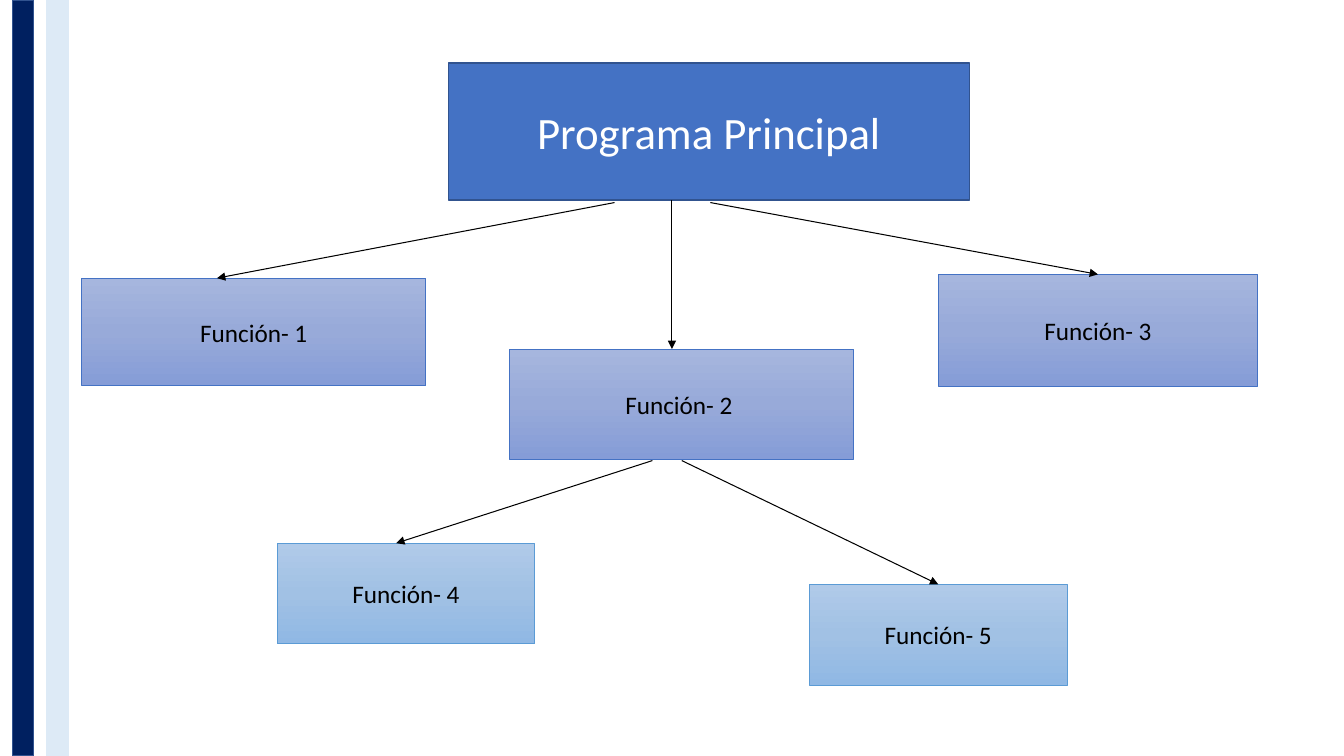
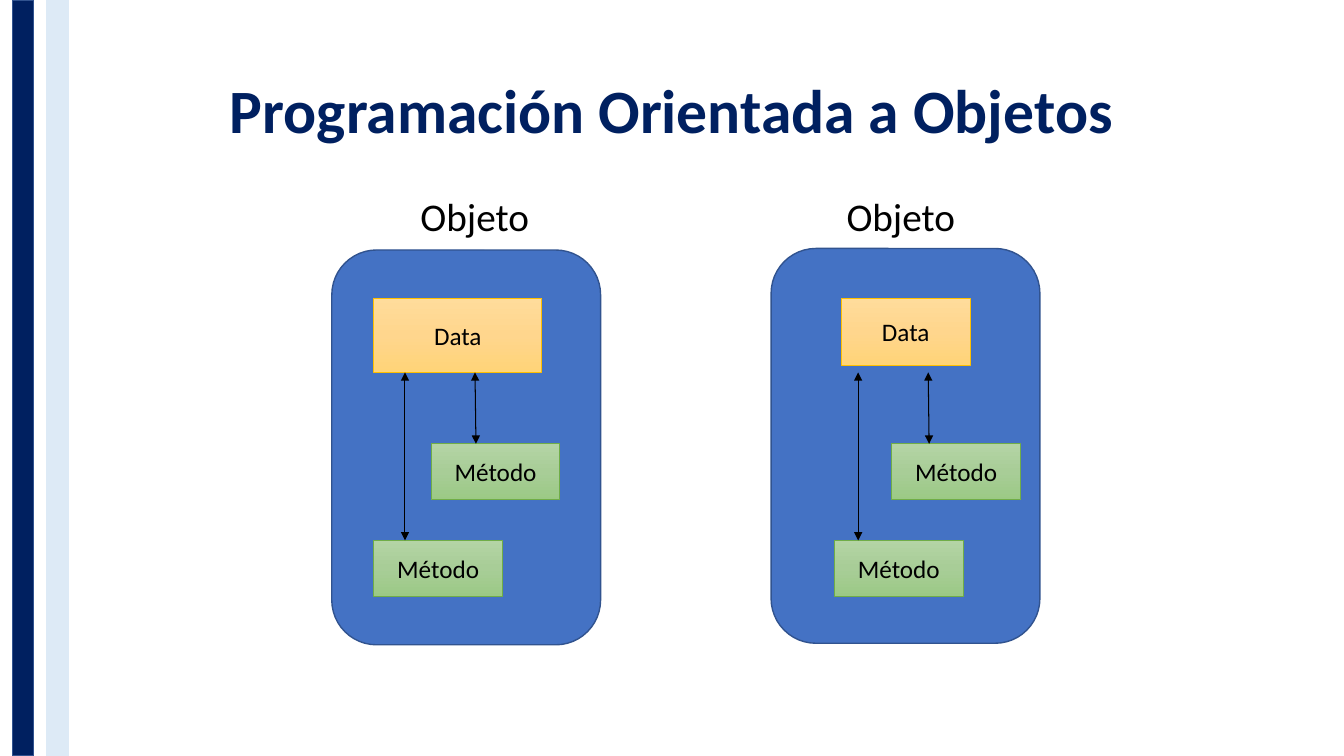
from copy import deepcopy

from lxml import etree
from pptx import Presentation
from pptx.dml.color import RGBColor
from pptx.enum import shapes, text
from pptx.oxml.ns import qn
from pptx.util import Pt

C = {
    "navy": "002060", "pale": "DDEAF6", "blue": "4472C4", "edge": "31538F",
    "sky": "5B9BD5", "gold": "FFC000", "green": "70AD47",
    "black": "000000", "white": "FFFFFF",
}
GRADIENTS = {
    "blue": ("A6B6DE", "98AAD9", "859CD7"),
    "sky": ("B0CAE9", "A1C1E4", "90B8E4"),
    "gold": ("FFDC9B", "FFD68D", "FFD478"),
    "green": ("B4D4A5", "A8CD97", "9BC985"),
}
RECT = shapes.MSO_SHAPE.RECTANGLE
ROUNDED = shapes.MSO_SHAPE.ROUNDED_RECTANGLE


def add_box(s, at, label="", fill=None, line=None, size=18, color="black", kind=RECT, bold=False):
    """Add a shape; a fill with no line is a gradient, no fill at all is a text box."""
    at = [Pt(v) for v in at]
    if fill is None:
        sp = s.shapes.add_textbox(*at)
    else:
        sp = s.shapes.add_shape(kind, *at)
        sp.shadow.inherit = False
        sp.line.color.rgb = RGBColor.from_string(C[line or fill])
        sp.line.width = Pt(1 if line else 0.75)
        if line:
            sp.fill.solid()
            sp.fill.fore_color.rgb = RGBColor.from_string(C[fill])
        else:
            sp.fill.gradient()
            sp.fill.gradient_angle = 270
            first = next(sp._element.spPr.iter(qn("a:gs")))
            first.addnext(deepcopy(first))
            for stop, pos, rgb in zip(sp.fill.gradient_stops, (0, 0.5, 1), GRADIENTS[fill]):
                stop.position = pos
                stop.color.rgb = RGBColor.from_string(rgb)
    if label:
        tf = sp.text_frame
        tf.word_wrap = True
        tf.vertical_anchor = text.MSO_ANCHOR.MIDDLE
        p = tf.paragraphs[0]
        p.text = label
        p.alignment = text.PP_ALIGN.CENTER
        font = p.runs[0].font
        font.name, font.size, font.bold = "Calibri", Pt(size), bold
        font.color.rgb = RGBColor.from_string(C[color])
    return sp


def add_arrow(s, start, end, ends=("tailEnd",)):
    cx = s.shapes.add_connector(shapes.MSO_CONNECTOR.STRAIGHT, *[Pt(v) for v in (*start, *end)])
    cx.line.color.rgb = RGBColor.from_string(C["black"])
    cx.line.width = Pt(0.75)
    for name in ends:
        etree.SubElement(cx.line._get_or_add_ln(), qn("a:" + name), type="triangle")
    etree.SubElement(cx._element.spPr, qn("a:effectLst"))
    return cx


prs = Presentation()
prs.slide_width, prs.slide_height = Pt(960), Pt(540)
tree, objects = [prs.slides.add_slide(prs.slide_layouts[6]) for _ in range(2)]
for s in (tree, objects):
    add_box(s, (9, 0, 15, 540), fill="navy", line="edge")
    add_box(s, (33.5, 0, 15.5, 540), fill="pale", line="pale")

# Call tree of the main program
add_box(tree, (320.4, 45, 372, 97.8), "Programa Principal", "blue", "edge", 32, "white")
functions = {}
for label, fill, at in [
    ("Función- 1", "blue", (58.3, 198.7, 246, 77)),
    ("Función- 3", "blue", (670.3, 196, 228, 80)),
    ("Función- 2 ", "blue", (364, 249.3, 246, 78.6)),
    ("Función- 4", "sky", (198, 388, 184, 72)),
    ("Función- 5", "sky", (578.2, 417.4, 184, 72)),
]:
    functions[label] = add_box(tree, at, label, fill)

for start, end, target in [
    ((439, 144.7), (155, 198.7), None),
    ((480, 143), (480, 249.3), None),
    ((507.4, 144.7), (784.3, 196), "Función- 3"),
    ((487, 329), (670.2, 417.4), "Función- 5"),
    ((466, 329), (283, 388), None),
]:
    cx = add_arrow(tree, start, end)
    if target:
        cx.end_connect(functions[target], 0)

# Two objects, each with its data and methods
title = add_box(objects, (66, 28.8, 828, 104.4), "Programación Orientada a Objetos",
                size=44, color="navy", bold=True)
title.text_frame.paragraphs[0].line_spacing = 0.9

BOTH = ("headEnd", "tailEnd")
METHOD_TOPS = (317, 386)
for label_x, panel, data, method_x, arrow_x in [
    (287.3, (237, 178.6), (267, 213, 120, 53), 267, 289.3),
    (591.6, (550.8, 177.5), (601, 213, 92, 48), 596, 613),
]:
    add_box(objects, (*panel, 192, 282), fill="blue", line="edge", kind=ROUNDED)
    add_box(objects, data, "Data", "gold")
    for top, shift in zip(METHOD_TOPS, (41, 0)):
        add_box(objects, (method_x + shift, top, 92, 40), "Método", "green")
    for top, shift, slant in zip(METHOD_TOPS, (50, 0), (0.7, 0)):
        x = arrow_x + shift
        add_arrow(objects, (x, 266), (x + slant, top), BOTH)
    add_box(objects, (label_x, 133.6, 103.7, 41.2), "Objeto", size=28)

prs.save("out.pptx")
